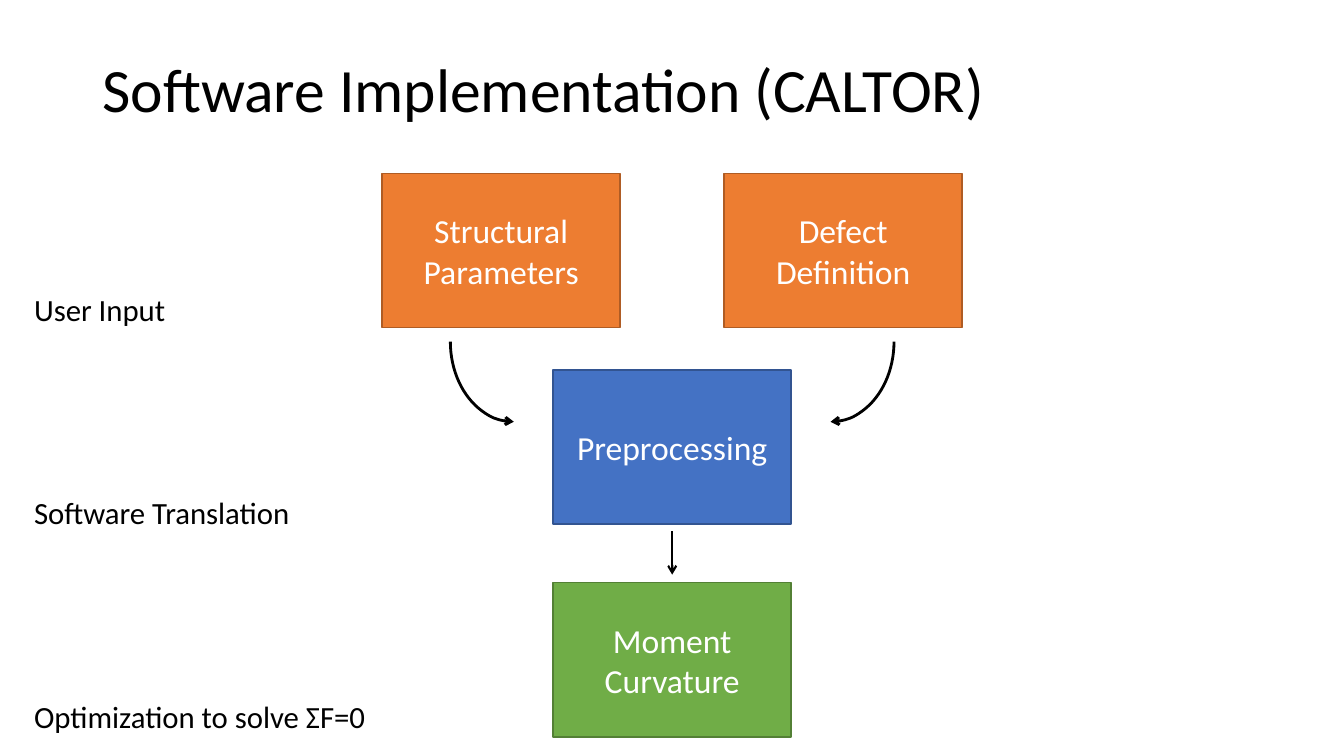
"""Build a flow slide on a software implementation."""
import dataclasses

import pptx
import pptx.dml.color
import pptx.enum.shapes
import pptx.enum.text
import pptx.oxml.ns
import pptx.util
from lxml import etree

Cm = pptx.util.Cm
Pt = pptx.util.Pt
Shape = pptx.enum.shapes.MSO_SHAPE
Align = pptx.enum.text.PP_ALIGN
Anchor = pptx.enum.text.MSO_ANCHOR
Fit = pptx.enum.text.MSO_AUTO_SIZE


@dataclasses.dataclass(frozen=True)
class Theme:
    """Colours, font and type sizes of the slide."""
    font: str = "Calibri"
    ink: str = "000000"
    light: str = "FFFFFF"
    orange: tuple = ("ED7D31", "AF5C24")
    blue: tuple = ("4472C4", "325491")
    green: tuple = ("70AD47", "538035")
    title: int = 44
    box: int = 24
    label: int = 22


THEME = Theme()
MID = 16.94
BOX_W, BOX_H = 6, 3.89
ARC_W, ARC_H = 4.04, 3.2


def rgb(code):
    """Turn a hex code into a colour."""
    return pptx.dml.color.RGBColor.from_string(code)


def write(frame, *lines, size, color=THEME.ink, align=Align.LEFT,
          anchor=Anchor.TOP, space=None, fit=Fit.NONE):
    """Write one paragraph per line into a text frame."""
    frame.word_wrap = True
    frame.auto_size = fit
    frame.vertical_anchor = anchor
    for num, line in enumerate(lines):
        para = frame.add_paragraph() if num else frame.paragraphs[0]
        para.alignment = align
        para.line_spacing = space
        run = para.add_run()
        run.text = line
        run.font.name = THEME.font
        run.font.size = Pt(size)
        run.font.color.rgb = rgb(color)


def stroke(shape, color, width):
    """Set the outline of a shape."""
    shape.line.color.rgb = rgb(color)
    shape.line.width = Pt(width)


def point(shape):
    """Put an arrowhead at the end of a line."""
    tag = pptx.oxml.ns.qn("a:tailEnd")
    etree.SubElement(shape.line._get_or_add_ln(), tag, type="arrow")


def add_box(shapes, text, mid, top, tint):
    """Add a filled step box centred on mid."""
    box = shapes.add_shape(Shape.RECTANGLE, Cm(mid - BOX_W / 2), Cm(top),
                           Cm(BOX_W), Cm(BOX_H))
    box.shadow.inherit = False
    fill, edge = tint
    box.fill.solid()
    box.fill.fore_color.rgb = rgb(fill)
    stroke(box, edge, 1)
    write(box.text_frame, text, size=THEME.box, color=THEME.light,
          align=Align.CENTER, anchor=Anchor.MIDDLE)


def add_arc(shapes, mid, top, turn, flip=False):
    """Add a curved arrow centred on mid."""
    arc = shapes.add_shape(Shape.ARC, Cm(mid - ARC_W / 2), Cm(top),
                           Cm(ARC_W), Cm(ARC_H))
    arc.shadow.inherit = False
    arc.fill.background()
    arc.rotation = turn
    if flip:
        arc.element.spPr.xfrm.set("flipH", "1")
    stroke(arc, THEME.ink, 2)
    point(arc)


def add_arrow(shapes, mid, top, end):
    """Add a straight arrow that points down."""
    kind = pptx.enum.shapes.MSO_CONNECTOR.STRAIGHT
    arrow = shapes.add_connector(kind, Cm(mid), Cm(top), Cm(mid), Cm(end))
    stroke(arrow, THEME.ink, 1.5)
    point(arrow)
    tag = pptx.oxml.ns.qn("a:effectLst")
    etree.SubElement(arrow.element.spPr, tag)


def add_title(slide, text):
    """Place and fill the title."""
    title = slide.shapes.title
    title.left, title.top = Cm(2.33), Cm(0.49)
    title.width, title.height = Cm(29.21), Cm(3.68)
    write(title.text_frame, text, size=THEME.title, anchor=Anchor.MIDDLE,
          space=0.9)


def add_labels(shapes, *lines):
    """Add the stage labels down the left side."""
    box = shapes.add_textbox(Cm(0.61), Cm(3.02), Cm(10.06), Cm(14.68))
    write(box.text_frame, *lines, size=THEME.label, space=5.5,
          fit=Fit.SHAPE_TO_FIT_TEXT)


def main():
    """Build the slide and save it."""
    deck = pptx.Presentation()
    deck.slide_width, deck.slide_height = Cm(33.87), Cm(19.05)
    slide = deck.slides.add_slide(deck.slide_layouts.get_by_name("Title Only"))
    shapes = slide.shapes
    add_title(slide, "Software Implementation (CALTOR)")
    add_box(shapes, "Preprocessing", MID, 9.32, THEME.blue)
    inputs = shapes.add_group_shape().shapes
    for text, side in (("Structural Parameters", -1), ("Defect Definition", 1)):
        add_box(inputs, text, MID + side * 4.31, 4.37, THEME.orange)
    add_box(shapes, "Moment Curvature", MID, 14.68, THEME.green)
    add_arc(shapes, MID + 3.99, 7.01, 90)
    add_arc(shapes, MID - 3.99, 7.01, 270, flip=True)
    add_arrow(shapes, MID, 13.39, 14.48)
    add_labels(shapes, "User Input", "Software Translation",
               "Optimization to solve ΣF=0")
    deck.save("out.pptx")


main()
